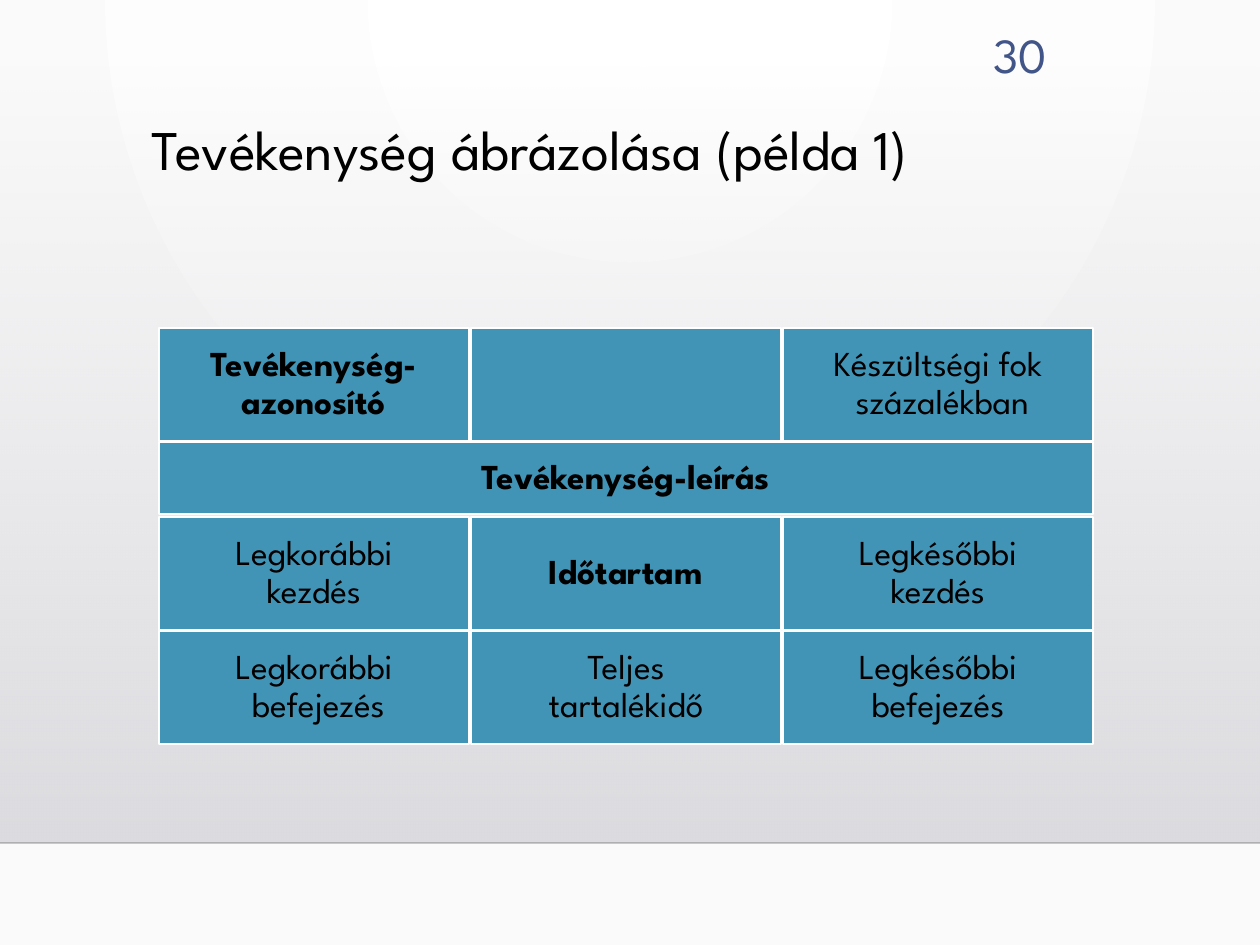
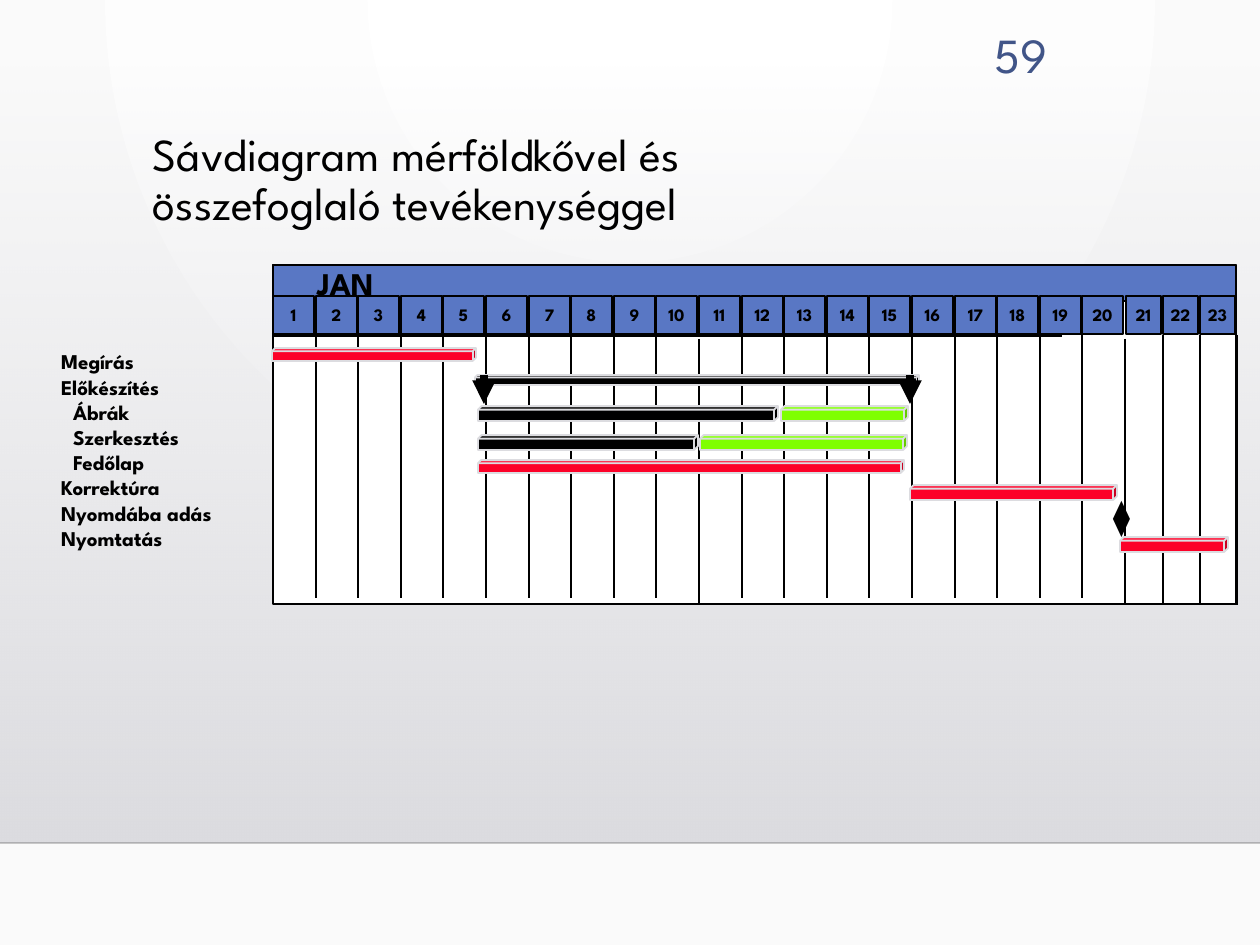
from lxml import etree
from pptx import Presentation
from pptx import util as u
from pptx.dml.color import RGBColor
from pptx.enum import shapes, text
from pptx.oxml.ns import qn

PX = 914400 // 126
FONT = "League Spartan"
BLACK, WHITE, EDGE = "000000", "FFFFFF", "DCDCE0"
CELL_BLUE, HEADER_BLUE, NUMBER_BLUE = "4294B6", "5977C4", "415588"
RED, GREEN = "FC0128", "7FFF00"
RECTANGLE, CUBE = shapes.MSO_SHAPE.RECTANGLE, shapes.MSO_SHAPE.CUBE
LEFT, CENTER, RIGHT = text.PP_ALIGN.LEFT, text.PP_ALIGN.CENTER, text.PP_ALIGN.RIGHT
TOP, MIDDLE = text.MSO_ANCHOR.TOP, text.MSO_ANCHOR.MIDDLE
color = RGBColor.from_string


def draw(page, kind, at, fill=None, line=BLACK, width=1):
    """Add a filled preset shape, or a line from x1, y1 to x2, y2 when kind is None."""
    at = [n * PX for n in at]
    if kind is None:
        shape = page.shapes.add_connector(shapes.MSO_CONNECTOR.STRAIGHT, *at)
    else:
        shape = page.shapes.add_shape(kind, *at)
        shape.shadow.inherit = False
        shape.fill.solid()
        shape.fill.fore_color.rgb = color(fill)
    shape.line.color.rgb = color(line)
    shape.line.width = u.Pt(width)
    if kind is None:
        etree.SubElement(shape.element.spPr, qn("a:effectLst"))
    return shape


def write(shape, content, size, bold=False, ink=BLACK, align=LEFT, anchor=TOP,
          spacing=1.0, wrap=False, margins=(13, 6)):
    frame = shape.text_frame
    side, end = (n * PX for n in margins)
    settings = {"word_wrap": wrap, "vertical_anchor": anchor,
                "auto_size": text.MSO_AUTO_SIZE.NONE,
                "margin_left": side, "margin_right": side,
                "margin_top": end, "margin_bottom": end}
    for name, value in settings.items():
        setattr(frame, name, value)
    for index, words in enumerate(content.split("\n")):
        para = frame.add_paragraph() if index else frame.paragraphs[0]
        para.text = words
        para.alignment = align
        para.line_spacing = spacing
        for span in para.runs:
            for name, value in {"name": FONT, "size": u.Pt(size), "bold": bold}.items():
                setattr(span.font, name, value)
            span.font.color.rgb = color(ink)


deck = Presentation()
deck.slide_width, deck.slide_height = u.Inches(10), u.Inches(7.5)
master = deck.slide_master

# Shared background: a circular glow behind a grey band that fades in downwards
glow = master.background.fill
glow.gradient()
for stop, shade in zip(glow.gradient_stops, (WHITE, "FAFAFA")):
    stop.color.rgb = color(shade)
glow_xml = master.element.find(".//" + qn("a:gradFill"))
glow_xml.remove(glow_xml.find(qn("a:lin")))
glow_path = etree.SubElement(glow_xml, qn("a:path"), {"path": "circle"})
etree.SubElement(glow_path, qn("a:fillToRect"),
                 {"l": "43000", "t": "0", "r": "43000", "b": "100000"})

# Each slide: title, its place, its size, slide number
headings = [
    ("Tevékenység ábrázolása (példa 1)", (139, 116, 1061, 116), 32, "30"),
    ("Sávdiagram mérföldkővel és \vösszefoglaló tevékenységgel",
     (140, 126, 1061, 116), 26.1, "59"),
]
pages = []
for heading, at, size, number in headings:
    page = deck.slides.add_slide(deck.slide_layouts[5])
    title = page.shapes.title
    title.left, title.top, title.width, title.height = (n * PX for n in at)
    write(title, heading, size, spacing=0.9, wrap=True)
    number_box = page.shapes.add_textbox(*(n * PX for n in (950, 18, 110, 69)))
    write(number_box, number, 28, ink=NUMBER_BLUE, align=RIGHT, wrap=True)
    pages.append(page)
activity_page, gantt_page = pages

band = draw(activity_page, RECTANGLE, (0, 64, 1260, 779), EDGE)
band.line.fill.background()
band.fill.gradient()
band.fill.gradient_angle = 270
for stop, shade in zip(band.fill.gradient_stops, (EDGE, "DEDEE2")):
    stop.color.rgb = color(shade)
footer_line = draw(activity_page, None, (0, 843, 1260, 843), line="000001")
for shape, alpha in ((band, "0"), (footer_line, "20000")):
    first_color = shape.element.spPr.find(".//" + qn("a:srgbClr"))
    etree.SubElement(first_color, qn("a:alpha"), {"val": alpha})
for index, shape in enumerate((band, footer_line), 2):
    master.shapes.element.insert(index, shape.element)

# Activity box: rows of (top, height, cells), a cell being (text, bold)
activity_rows = [
    (328, 113, [("Tevékenység-\nazonosító", True), ("", False),
                ("Készültségi fok\n százalékban", False)]),
    (442, 72, [("Tevékenység-leírás", True)]),
    (517, 113, [("Legkorábbi\nkezdés", False), ("Időtartam", True),
                ("Legkésőbbi\nkezdés", False)]),
    (631, 113, [("Legkorábbi\n befejezés", False), ("Teljes\ntartalékidő", False),
                ("Legkésőbbi\nbefejezés", False)]),
]
for top, height, cells in activity_rows:
    width = 934 if len(cells) == 1 else 310
    for column, (words, bold) in enumerate(cells):
        cell = draw(activity_page, RECTANGLE, (159 + 312 * column, top, width, height),
                    CELL_BLUE, WHITE)
        if words:
            write(cell, words, 20, bold, align=CENTER, anchor=MIDDLE, spacing=0.9)

# Gantt calendar
draw(gantt_page, RECTANGLE, (273, 265, 963, 339), WHITE)
draw(gantt_page, RECTANGLE, (273, 265, 963, 36), HEADER_BLUE)
month = gantt_page.shapes.add_textbox(*(n * PX for n in (304, 275, 89, 16)))
write(month, "JAN", 18, True, anchor=MIDDLE)
draw(gantt_page, None, (272, 335, 1062, 335), width=2)
for day in range(1, 24):
    if day <= 20:
        left, width = round(273 + 42.6 * (day - 1)), 41
        right = round(273 + 42.6 * day)
    else:
        left, width = 1126 + 37 * (day - 21), 35
        right = left + 37
    cell = draw(gantt_page, RECTANGLE, (left, 296, width, 38), HEADER_BLUE)
    write(cell, str(day), 10, True, align=CENTER, anchor=MIDDLE, margins=(18, 9))
    if day > 20:
        start, end = 335, 605
    elif day % 10 == 0:
        start, end = 339, 605
    else:
        start, end = 334, 598
    draw(gantt_page, None, (right, start, right, end))

# Task bars: left, top, width, height, fill
bars = [
    (272, 348, 204, 13, RED),
    (478, 406, 300, 15, BLACK),
    (478, 435, 220, 15, BLACK),
    (478, 460, 426, 13, RED),
    (910, 485, 207, 15, RED),
    (1120, 537, 108, 15, RED),
    (781, 406, 127, 15, GREEN),
    (700, 435, 207, 15, GREEN),
    (475, 375, 444, 10, BLACK),
]
for *at, fill in bars:
    draw(gantt_page, CUBE, at, fill, EDGE)

tasks = gantt_page.shapes.add_textbox(*(n * PX for n in (48, 343, 208, 214)))
write(tasks, "Megírás\nElőkészítés\nÁbrák\nSzerkesztés\nFedőlap\n"
             "Korrektúra\nNyomdába adás\nNyomtatás", 12, True, wrap=True)
for para in tasks.text_frame.paragraphs[2:5]:
    para.font.bold = True
    para.font.element.getparent().set("marL", str(12 * PX)) if hasattr(
        para.font, "element") else para._p.get_or_add_pPr().set("marL", str(12 * PX))

for x in (484, 910):
    marker = draw(gantt_page, None, (x, 375, x, 404), width=4.5)
    outline = marker.element.spPr.find(qn("a:ln"))
    etree.SubElement(outline, qn("a:tailEnd"), {"type": "triangle"})

milestone = gantt_page.shapes.add_textbox(*(n * PX for n in (1100, 489, 52, 54)))
write(milestone, "⧫", 20)

deck.save("out.pptx")
